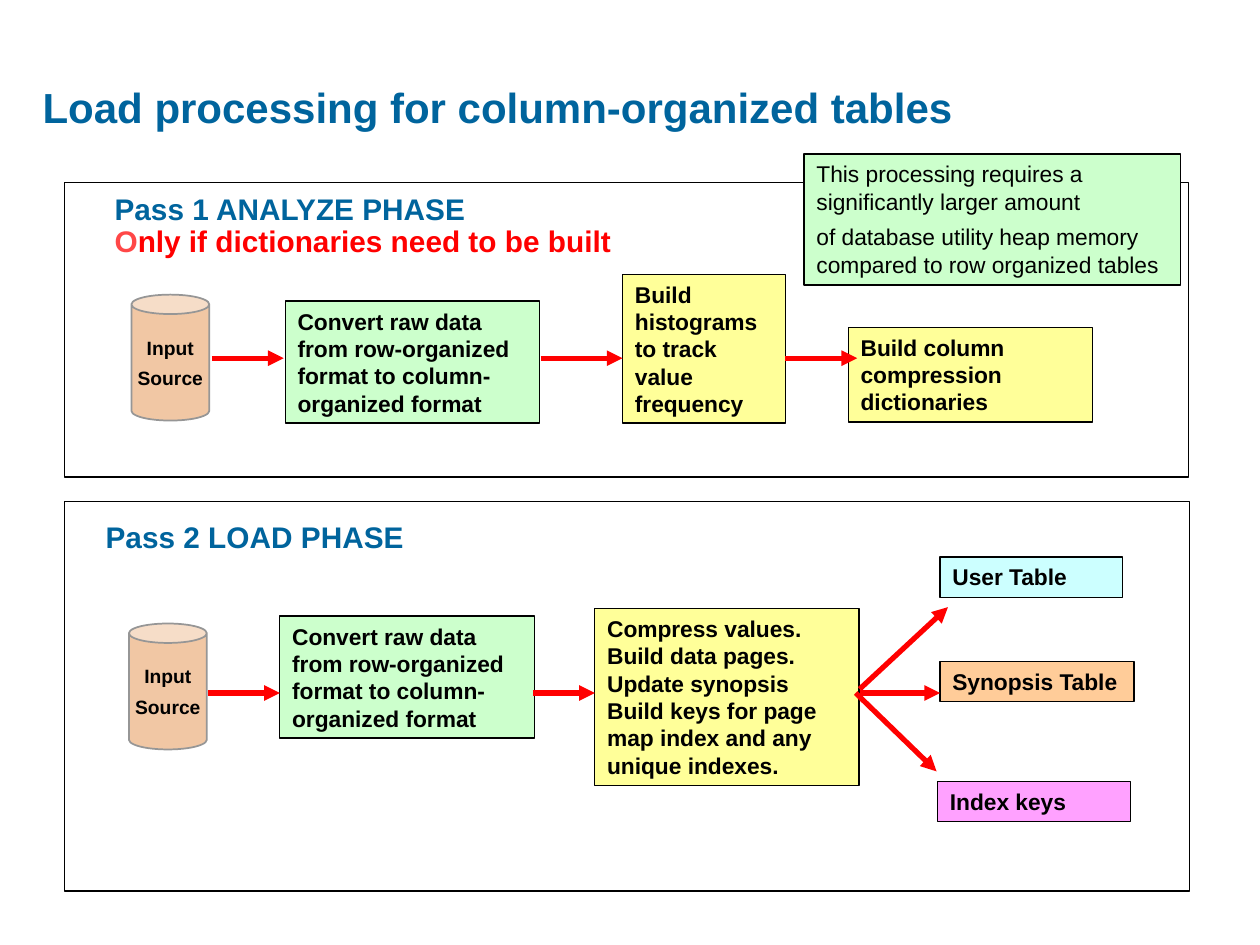
import pptx
import pptx.dml.color
import pptx.enum.shapes
import pptx.enum.text
import pptx.oxml.ns
import pptx.util
from lxml import etree

Cm = pptx.util.Cm
Pt = pptx.util.Pt
SHAPES = pptx.enum.shapes.MSO_SHAPE
ALIGN = pptx.enum.text.PP_ALIGN
ANCHOR = pptx.enum.text.MSO_ANCHOR

BLUE, RED, BLACK, WHITE = "00649D", "FF0000", "000000", "FFFFFF"
GREEN, YELLOW, ORANGE = "CCFFCC", "FFFF99", "DD731C"
STEP_HEIGHT = 2.46
OUTPUT_HEIGHT = 0.81


def color(hex_value):
    return pptx.dml.color.RGBColor.from_string(hex_value)


def qualified(tag):
    return pptx.oxml.ns.qn(tag)


def write_text(shape, texts, size, hex_color=BLACK, bold=True, gap=0,
               align=ALIGN.LEFT, anchor=ANCHOR.TOP, wrap=True):
    frame = shape.text_frame
    frame.word_wrap = wrap
    frame.vertical_anchor = anchor
    for index, text in enumerate(texts):
        paragraph = frame.paragraphs[0] if index == 0 else frame.add_paragraph()
        paragraph.text = text
        paragraph.alignment = align
        if index:
            paragraph.space_before = Pt(gap)
        paragraph.font.name = "Arial"
        paragraph.font.size = Pt(size)
        paragraph.font.bold = bold
        paragraph.font.color.rgb = color(hex_color)
    return frame.paragraphs[0]


def add_block(slide, box, fill, kind=SHAPES.RECTANGLE, line=BLACK,
              line_width=0.75, opacity=100):
    shape = slide.shapes.add_shape(kind, *(Cm(value) for value in box))
    shape.shadow.inherit = False
    shape.fill.solid()
    shape.fill.fore_color.rgb = color(fill)
    shape.line.color.rgb = color(line)
    shape.line.width = Pt(line_width)
    if opacity < 100:
        fill_color = shape._element.spPr.find(
            qualified("a:solidFill") + "/" + qualified("a:srgbClr"))
        alpha = etree.SubElement(fill_color, qualified("a:alpha"))
        alpha.set("val", str(opacity * 1000))
    return shape


def add_step(slide, box, text, fill, opacity=100):
    write_text(add_block(slide, box, fill, opacity=opacity), [text], 13)


def add_convert_step(slide, left, top):
    add_step(slide, (left, top, 5.13, STEP_HEIGHT),
             "Convert raw data from row-organized format to column-organized format",
             GREEN)


def add_input_source(slide, left, top):
    cylinder = add_block(slide, (left, top, 1.57, 2.54), ORANGE, SHAPES.CAN,
                         "969696", 1, 40)
    write_text(cylinder, ["Input", "Source"], 11, gap=4.1, align=ALIGN.CENTER,
               anchor=ANCHOR.MIDDLE, wrap=False)


def add_arrow(slide, *ends):
    arrow = slide.shapes.add_connector(
        pptx.enum.shapes.MSO_CONNECTOR.STRAIGHT, *(Cm(value) for value in ends))
    arrow.line.color.rgb = color(RED)
    arrow.line.width = Pt(3)
    tail = etree.SubElement(arrow.line._get_or_add_ln(), qualified("a:tailEnd"))
    tail.set("type", "triangle")
    etree.SubElement(arrow._element.spPr, qualified("a:effectLst"))


def add_label(slide, box, text, size, **options):
    label = slide.shapes.add_textbox(*(Cm(value) for value in box))
    return write_text(label, [text], size, BLUE, **options)


def add_title(slide, box):
    add_label(slide, box, "Load processing for column-organized tables", 24,
              anchor=ANCHOR.MIDDLE)


def add_analyze_phase(slide, box):
    left, top, width, height = box
    add_block(slide, box, WHITE, line_width=1)
    heading = add_label(slide, (left + 0.76, top + 0.13, 14, 1.55),
                        "Pass 1 ANALYZE PHASE\v", 17)
    heading.line_spacing = 0.9
    for text, hex_color in (("O", "FF4747"),
                            ("nly if dictionaries need to be built", RED)):
        run = heading.add_run()
        run.text = text
        run.font.color.rgb = color(hex_color)

    add_input_source(slide, left + 1.35, top + 2.26)
    add_convert_step(slide, left + 4.45, top + 2.39)
    add_step(slide, (left + 11.25, top + 1.85, 3.28, 3),
             "Build histograms to track value frequency", YELLOW)
    add_step(slide, (left + 15.8, top + 2.92, 4.93, 1.91),
             "Build column compression dictionaries", YELLOW)
    flow = top + 3.54
    for start, end in ((2.97, 4.42), (9.6, 11.25), (14.53, 15.98)):
        add_arrow(slide, left + start, flow, left + end, flow)


def add_load_phase(slide, box):
    left, top, width, height = box
    add_block(slide, box, WHITE, line_width=1)
    heading = add_label(slide, (left + 0.58, top + 0.3, 8.84, 0.89),
                        "Pass 2 LOAD PHASE", 17)
    heading.line_spacing = 0.9

    add_input_source(slide, left + 1.3, top + 2.46)
    add_convert_step(slide, left + 4.34, top + 2.31)
    add_step(slide, (left + 10.69, top + 2.16, 5.33, 3.56),
             "Compress values. Build data pages. Update synopsis "
             "Build keys for page map index and any unique indexes.", YELLOW)
    outputs = (
        ("User Table", 17.65, 1.12, 3.68, "CCFFFF", 100),
        ("Synopsis Table", 17.65, 3.23, 3.91, "FFCC99", 100),
        ("Index keys", 17.6, 5.64, 3.89, "FF00FF", 37),
    )
    for text, x, y, output_width, fill, opacity in outputs:
        add_step(slide, (left + x, top + y, output_width, OUTPUT_HEIGHT),
                 text, fill, opacity)

    flow = 3.86
    arrows = (
        (2.9, flow, 4.34, flow),
        (9.45, flow, 10.69, flow),
        (16.03, flow, 17.65, flow),
        (16.03, 3.78, 17.81, 2.13),
        (15.95, flow, 17.58, 5.44),
    )
    for x1, y1, x2, y2 in arrows:
        add_arrow(slide, left + x1, top + y1, left + x2, top + y2)


def add_memory_note(slide, box):
    note = add_block(slide, box, GREEN, line_width=1)
    write_text(note, ["This processing requires a significantly larger amount",
                      "of database utility heap memory compared to row organized tables"],
               13, bold=False, gap=4.9)


def main():
    presentation = pptx.Presentation()
    presentation.slide_width = Cm(25.4)
    presentation.slide_height = Cm(19.05)
    slide = presentation.slides.add_slide(presentation.slide_layouts[6])
    add_title(slide, (0.61, 1.27, 24.54, 1.78))
    add_analyze_phase(slide, (1.3, 3.68, 22.66, 5.94))
    add_load_phase(slide, (1.3, 10.11, 22.68, 7.85))
    add_memory_note(slide, (16.21, 3.1, 7.59, 2.64))
    presentation.save("out.pptx")


if __name__ == "__main__":
    main()
